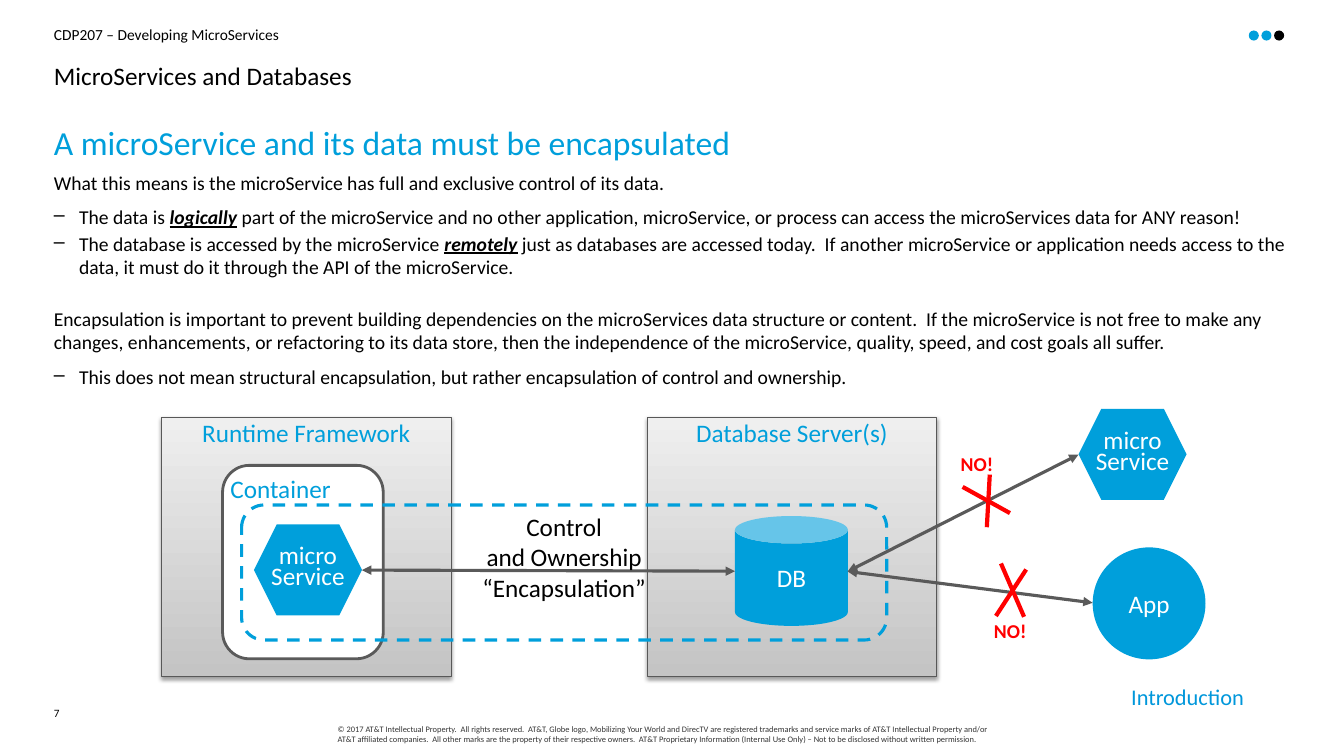
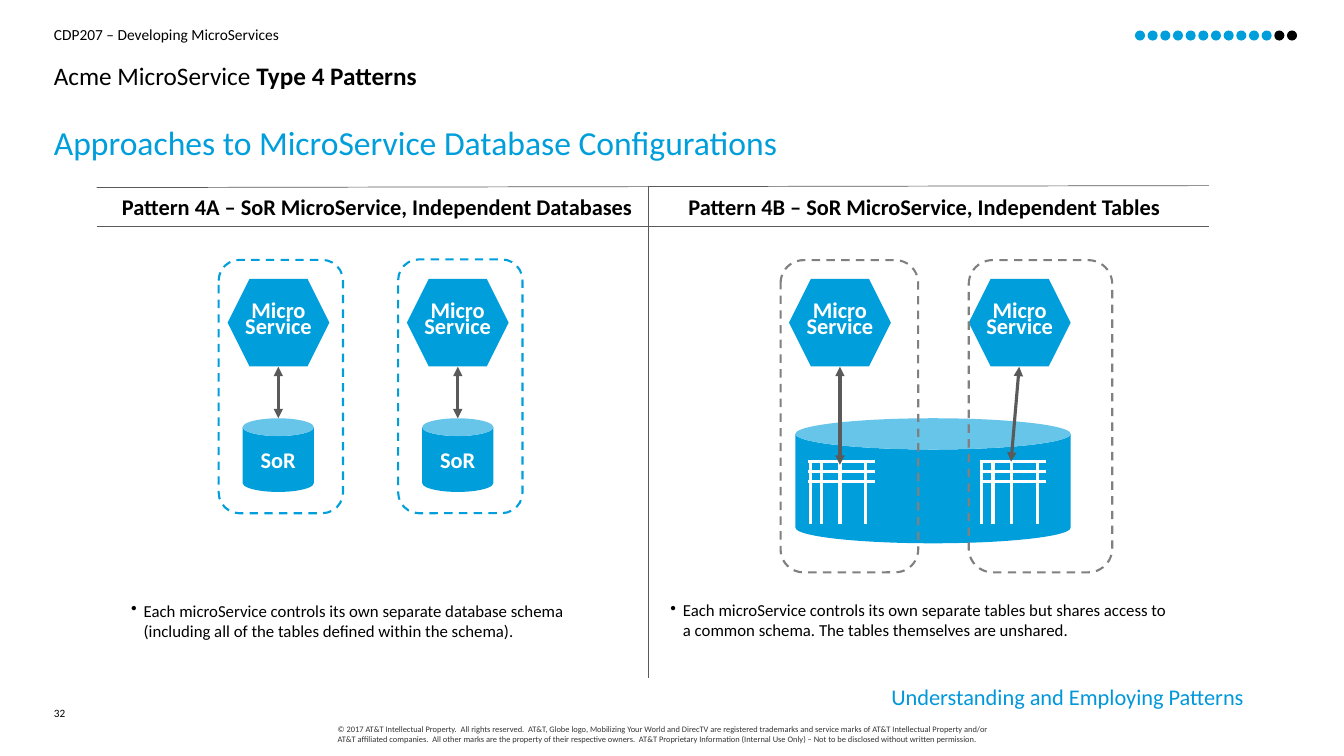
from dataclasses import dataclass
from typing import Any, Optional

from lxml.etree import SubElement
from pptx import Presentation
from pptx.dml.color import RGBColor
from pptx.enum.dml import MSO_LINE
from pptx.enum.shapes import MSO_CONNECTOR, MSO_SHAPE
from pptx.enum.text import MSO_ANCHOR, MSO_AUTO_SIZE, PP_ALIGN
from pptx.oxml.ns import qn
from pptx.util import Pt

COLORS = {
    "blue": "009FDB", "section": "0097DB", "black": "000000", "white": "FFFFFF",
    "gray": "5A5A5A", "border": "585858", "dashed": "808080", "red": "FF0000",
    "legal": "343434", "panel_dark": "C4C4C4", "panel_light": "EFEFEF",
}
FONT = "Calibri"
MARGIN = 38.5
CONTENT_WIDTH = 883
COURSE = "CDP207 – Developing MicroServices"
COPYRIGHT = (
    "© 2017 AT&T Intellectual Property.  All rights reserved.  AT&T, Globe logo, "
    "Mobilizing Your World and DirecTV are registered trademarks and service marks of "
    "AT&T Intellectual Property and/or AT&T affiliated companies.  All other marks are "
    "the property of their respective owners.  AT&T Proprietary Information (Internal "
    "Use Only) – Not to be disclosed without written permission."
)


@dataclass(frozen=True)
class Box:
    left: float
    top: float
    width: float
    height: float

    def lengths(self) -> tuple:
        return Pt(self.left), Pt(self.top), Pt(self.width), Pt(self.height)


@dataclass(frozen=True)
class Line:
    x1: float
    y1: float
    x2: float
    y2: float


@dataclass(frozen=True)
class Pattern:
    heading: str
    heading_box: Box
    note: str
    note_box: Box


def rgb(name: str) -> RGBColor:
    return RGBColor.from_string(COLORS[name])


# Text
def write(frame: Any, text: str, *, size: float, color: str = "black", bold: bool = False,
          emphasis: str = "", underlined: bool = False, align: PP_ALIGN = PP_ALIGN.LEFT,
          spacing: Any = 1.0, before: float = 0, after: float = 0,
          bullet: str = "", indent: float = 0) -> None:
    """Append one paragraph; emphasis is the part of the text set in bold."""
    paragraph = frame.paragraphs[0]
    if paragraph.runs:
        paragraph = frame.add_paragraph()
    if bullet:
        properties = paragraph._p.get_or_add_pPr()
        properties.set("marL", str(Pt(indent)))
        properties.set("indent", str(-Pt(indent)))
        bullet_color = SubElement(properties, qn("a:buClr"))
        SubElement(bullet_color, qn("a:srgbClr"), val=COLORS["black"])
        SubElement(properties, qn("a:buChar"), char=bullet)
    paragraph.alignment = align
    paragraph.line_spacing = spacing
    paragraph.space_before = Pt(before)
    paragraph.space_after = Pt(after)
    parts = text.partition(emphasis) if emphasis else (text,)
    for part in filter(None, parts):
        strong = part == emphasis
        for number, piece in enumerate(part.split("\n")):
            if number:
                paragraph.add_line_break()
            run = paragraph.add_run()
            run.text = piece
            run.font.name = FONT
            run.font.size = Pt(size)
            run.font.color.rgb = rgb(color)
            run.font.bold = bold or strong
            if strong and underlined:
                run.font.italic = run.font.underline = True


def clear_insets(frame: Any, anchor: MSO_ANCHOR = MSO_ANCHOR.TOP, wrap: bool = True) -> None:
    frame.margin_left = frame.margin_right = frame.margin_top = frame.margin_bottom = 0
    frame.vertical_anchor = anchor
    frame.word_wrap = wrap
    frame.auto_size = MSO_AUTO_SIZE.NONE


def add_text_box(slide: Any, box: Box, wrap: bool = True) -> Any:
    frame = slide.shapes.add_textbox(*box.lengths()).text_frame
    clear_insets(frame, wrap=wrap)
    return frame


# Shapes and lines
def add_shape(slide: Any, kind: MSO_SHAPE, box: Box, *, fill: Optional[str] = "blue",
              line: Optional[str] = None, weight: float = 1, dashed: bool = False,
              anchor: MSO_ANCHOR = MSO_ANCHOR.MIDDLE) -> Any:
    shape = slide.shapes.add_shape(kind, *box.lengths())
    shape.shadow.inherit = False
    if fill:
        shape.fill.solid()
        shape.fill.fore_color.rgb = rgb(fill)
    else:
        shape.fill.background()
    if line:
        shape.line.color.rgb = rgb(line)
        shape.line.width = Pt(weight)
        if dashed:
            shape.line.dash_style = MSO_LINE.DASH
    else:
        shape.line.fill.background()
    clear_insets(shape.text_frame, anchor)
    return shape


def add_line(shapes: Any, line: Line, color: str = "gray", weight: float = 2.25,
             arrows: bool = False) -> None:
    connector = shapes.add_connector(MSO_CONNECTOR.STRAIGHT, Pt(line.x1), Pt(line.y1),
                                     Pt(line.x2), Pt(line.y2))
    connector.line.color.rgb = rgb(color)
    connector.line.width = Pt(weight)
    properties = connector._element.spPr
    if arrows:
        outline = properties.find(qn("a:ln"))
        for end in ("a:headEnd", "a:tailEnd"):
            SubElement(outline, qn(end), type="triangle")
    SubElement(properties, qn("a:effectLst"))


def add_panel(slide: Any, box: Box, label: str) -> None:
    panel = add_shape(slide, MSO_SHAPE.RECTANGLE, box, line="border", weight=0.75,
                      anchor=MSO_ANCHOR.TOP)
    panel.fill.gradient()
    panel.fill.gradient_angle = 90
    for stop, color in zip(panel.fill.gradient_stops, ("panel_dark", "panel_light")):
        stop.color.rgb = rgb(color)
    effects = panel._element.spPr.find(qn("a:effectLst"))
    shadow = SubElement(effects, qn("a:outerShdw"), blurRad=str(Pt(3.1)),
                        dist=str(Pt(1.6)), dir="5400000", rotWithShape="0")
    shade = SubElement(shadow, qn("a:srgbClr"), val=COLORS["black"])
    SubElement(shade, qn("a:alpha"), val="38000")
    write(panel.text_frame, label, size=18, color="blue", align=PP_ALIGN.CENTER)


def add_symbol(slide: Any, kind: MSO_SHAPE, box: Box, *words: str, size: float = 18,
               bold: bool = False, spacing: Any = 1.0) -> None:
    symbol = add_shape(slide, kind, box)
    for word in words:
        write(symbol.text_frame, word, size=size, color="white", bold=bold,
              align=PP_ALIGN.CENTER, spacing=spacing)


def add_table_icon(slide: Any, left: float, top: float) -> None:
    group = slide.shapes.add_group_shape()
    rows = [Line(left, top + 7 * row, left + 47.5, top + 7 * row) for row in range(3)]
    columns = [Line(left + x, top, left + x, top + 44.5) for x in (1.2, 9.5, 22.5, 41)]
    for line in rows + columns:
        add_line(group.shapes, line, "white")


# Parts that every slide shares
def add_slide(presentation: Any, title: str, headline: str, number: int, section: str,
              dots_left: float, dots_done: int, dots_open: int, emphasis: str = "") -> tuple:
    slide = presentation.slides.add_slide(presentation.slide_layouts[5])
    placeholder = slide.shapes.title
    placeholder.left, placeholder.top, placeholder.width, placeholder.height = Box(
        MARGIN, 41, CONTENT_WIDTH, 27).lengths()
    clear_insets(placeholder.text_frame)
    write(placeholder.text_frame, title, size=18, emphasis=emphasis, spacing=1.1, after=10)

    write(add_text_box(slide, Box(MARGIN, 18, CONTENT_WIDTH, 14.4)), COURSE, size=11)
    write(add_text_box(slide, Box(241.2, 517.5, 478, 17.5)), COPYRIGHT, size=6, color="legal")
    write(add_text_box(slide, Box(MARGIN, 504, 23, 18)), str(number), size=8, spacing=Pt(10))
    write(add_text_box(slide, Box(510, 488.2, 378.5, 20)), section, size=16,
          color="section", align=PP_ALIGN.RIGHT)
    for index in range(dots_done + dots_open):
        add_shape(slide, MSO_SHAPE.OVAL, Box(dots_left + 9.05 * index, 21.8, 7.2, 7.2),
                  fill="blue" if index < dots_done else "black")

    body = add_text_box(slide, Box(MARGIN, 90, CONTENT_WIDTH, 33))
    write(body, headline, size=24, color="blue", spacing=0.9, after=6)
    return slide, body


def build_encapsulation(presentation: Any) -> None:
    slide, body = add_slide(presentation, "MicroServices and Databases",
                            "A microService and its data must be encapsulated", 7,
                            "Introduction", 892, 2, 1)
    dash = {"size": 14, "after": 2, "bullet": "–", "indent": 18}
    write(body, "What this means is the microService has full and exclusive control of "
          "its data.", size=14, after=8)
    write(body, "The data is logically part of the microService and no other application, "
          "microService, or process can access the microServices data for ANY reason!",
          emphasis="logically", underlined=True, **dash)
    write(body, "The database is accessed by the microService remotely just as databases are "
          "accessed today.  If another microService or application needs access to the data, "
          "it must do it through the API of the microService.",
          emphasis="remotely", underlined=True, **dash)
    write(body, "Encapsulation is important to prevent building dependencies on the "
          "microServices data structure or content.  If the microService is not free to make "
          "any changes, enhancements, or refactoring to its data store, then the independence "
          "of the microService, quality, speed, and cost goals all suffer.",
          size=14, before=17.8, after=8)
    write(body, "This does not mean structural encapsulation, but rather encapsulation of "
          "control and ownership.", **dash)

    # Framework, container and database
    add_panel(slide, Box(462.2, 298, 207, 185), "Database Server(s)")
    add_symbol(slide, MSO_SHAPE.CAN, Box(525, 368.6, 80.6, 78.5), "DB")
    add_panel(slide, Box(115.2, 298, 207, 185), "Runtime Framework")
    container = add_shape(slide, MSO_SHAPE.ROUNDED_RECTANGLE, Box(159, 332.4, 114.8, 138.2),
                          fill="white", line="gray", weight=2, anchor=MSO_ANCHOR.TOP)
    write(container.text_frame, "Container", size=18, color="blue")
    for left, top in ((181.4, 374.6), (770.4, 292)):
        add_symbol(slide, MSO_SHAPE.HEXAGON, Box(left, top, 77.2, 65), "micro", "Service",
                   spacing=Pt(15))
    add_line(slide.shapes, Line(258.5, 407.2, 525, 408), arrows=True)
    boundary = add_shape(slide, MSO_SHAPE.ROUNDED_RECTANGLE, Box(172.6, 360.7, 460.8, 96.5),
                         fill=None, line="blue", weight=2.25, dashed=True,
                         anchor=MSO_ANCHOR.TOP)
    write(boundary.text_frame, "Control\nand Ownership\n“Encapsulation”", size=18,
          align=PP_ALIGN.CENTER)

    # Forbidden access
    add_symbol(slide, MSO_SHAPE.OVAL, Box(780.5, 391, 80.6, 80), "App")
    for x, y in ((770.4, 324.7), (780.5, 430.6)):
        add_line(slide.shapes, Line(605.5, 408.2, x, y), arrows=True)
    for stroke in (Line(687.6, 347.8, 721.4, 366.5), Line(707, 339, 704.9, 376.6),
                   Line(715, 402.5, 731.5, 440.6), Line(733, 406.8, 711.4, 440)):
        add_line(slide.shapes, stroke, "red", 3)
    for left, top in ((710, 442), (686.2, 322.6)):
        write(add_text_box(slide, Box(left, top, 23.8, 17.3), wrap=False), "NO!", size=14,
              color="red", bold=True)


def build_patterns(presentation: Any) -> None:
    slide, _ = add_slide(presentation, "Acme MicroService Type 4 Patterns",
                         "Approaches to MicroService Database Configurations", 32,
                         "Understanding and Employing Patterns", 810.7, 11, 2,
                         emphasis="Type 4 Patterns")
    patterns = (
        Pattern("Pattern 4A – SoR MicroService, Independent Databases",
                Box(87.1, 138, 368.6, 19.4),
                "Each microService controls its own separate database schema (including all "
                "of the tables defined within the schema).", Box(93.6, 429, 315.4, 42.5)),
        Pattern("Pattern 4B – SoR MicroService, Independent Tables",
                Box(491.8, 138, 340.6, 19.4),
                "Each microService controls its own separate tables but shares access to a "
                "common schema. The tables themselves are unshared.",
                Box(478.8, 428.5, 359.3, 42.5)),
    )
    for pattern in patterns:
        write(add_text_box(slide, pattern.heading_box, wrap=False), pattern.heading,
              size=16, bold=True)
        write(add_text_box(slide, pattern.note_box), pattern.note, size=12, bullet="•",
              indent=9)
    for rule in (Line(463, 133.2, 463, 484), Line(69, 134, 863.3, 132.6),
                 Line(69, 161.4, 863.3, 161.4)):
        add_line(slide.shapes, rule, weight=0.5)

    # Services, databases and their boundaries
    add_shape(slide, MSO_SHAPE.CAN, Box(568.2, 298.8, 196.6, 89.3))
    for left in (162.6, 290.6, 563.6, 692):
        add_symbol(slide, MSO_SHAPE.HEXAGON, Box(left, 199.2, 72.7, 62.6), "Micro", "Service",
                   size=16, bold=True, spacing=Pt(12))
    for center in (198.8, 327):
        add_line(slide.shapes, Line(center, 262, center, 298.8), arrows=True)
        add_symbol(slide, MSO_SHAPE.CAN, Box(center - 25.4, 298.8, 50.8, 52.6), "SoR",
                   size=16, bold=True)
    for box, color in ((Box(156.2, 185.6, 88.8, 181), "blue"),
                       (Box(284.4, 185.3, 88.8, 181.3), "blue"),
                       (Box(557.6, 185.8, 98.3, 223), "dashed"),
                       (Box(692, 185.8, 102.5, 223), "dashed")):
        add_shape(slide, MSO_SHAPE.ROUNDED_RECTANGLE, box, fill=None, line=color, weight=1.5,
                  dashed=True)
    for left in (577.5, 699.8):
        add_table_icon(slide, left, 329.8)
    for arrow in (Line(600, 262, 600, 332), Line(728, 262, 722.2, 329.8)):
        add_line(slide.shapes, arrow, arrows=True)


def main() -> None:
    presentation = Presentation()
    presentation.slide_width, presentation.slide_height = Pt(960), Pt(540)
    build_encapsulation(presentation)
    build_patterns(presentation)
    presentation.save("out.pptx")


if __name__ == "__main__":
    main()
